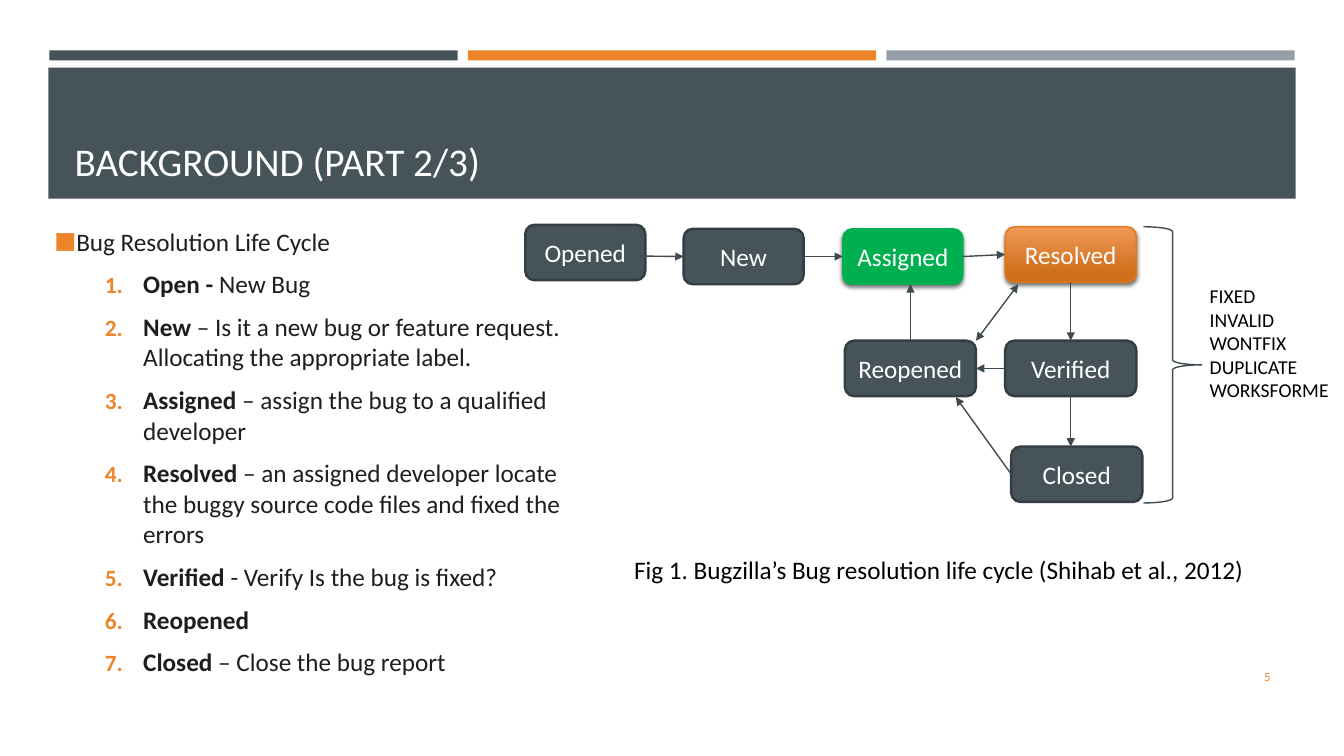
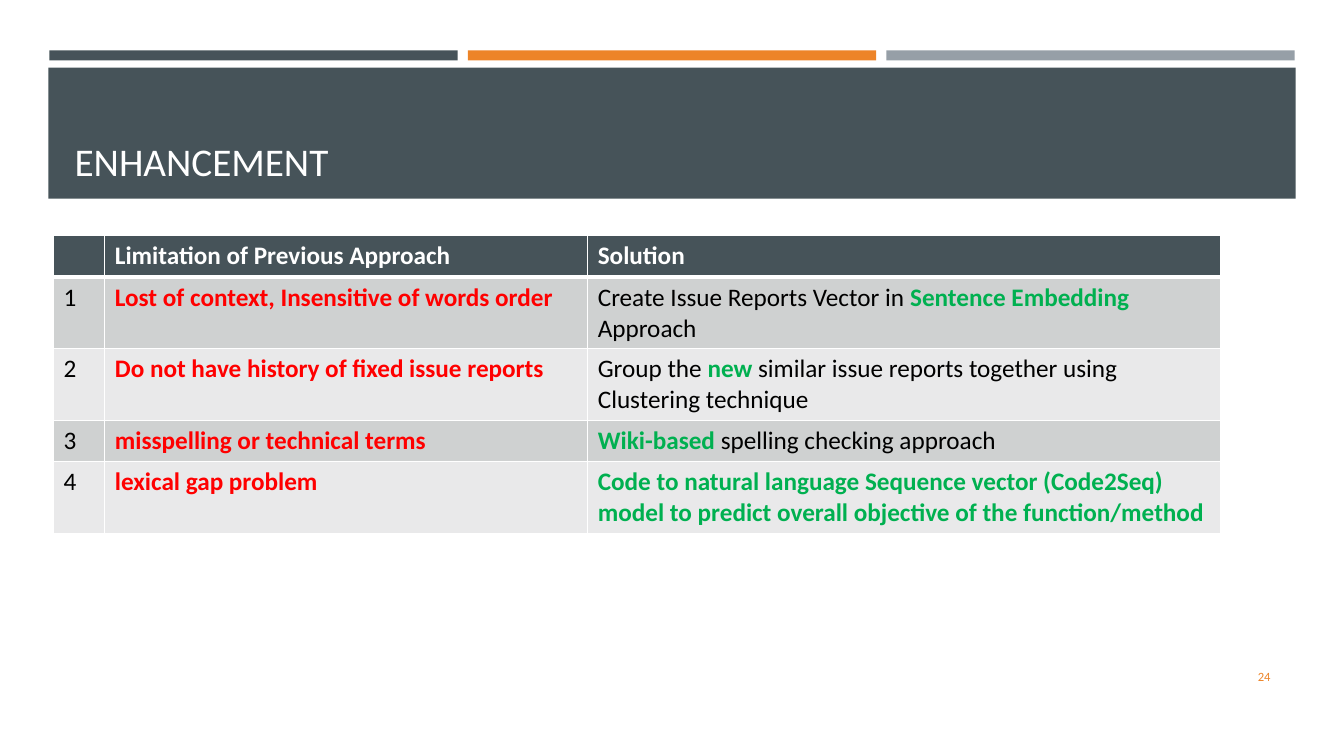
from dataclasses import dataclass

from lxml.etree import SubElement
from pptx import Presentation
from pptx.dml.color import RGBColor
from pptx.enum.shapes import MSO_CONNECTOR, MSO_SHAPE
from pptx.enum.text import MSO_ANCHOR, PP_ALIGN
from pptx.oxml.ns import qn
from pptx.util import Pt

PX = 9144  # EMU in one px, 100 px to the inch
TOP, LEFT, BOTTOM, RIGHT = range(4)


@dataclass(frozen=True)
class Theme:
    font: str = "Calibri"
    slate: str = "465359"
    edge: str = "343D42"
    wire: str = "3F4B50"
    orange: str = "ED8428"
    gray: str = "969FA7"
    green: str = "00B050"
    red: str = "FF0000"
    white: str = "FFFFFF"
    black: str = "000000"
    ink: str = "1E1E1E"
    glow: tuple = ("F09856", "CE6F1B")
    rust: str = "E67613"
    stripes: tuple = ("CFD1D1", "E9E9EA")
    head: int = 28
    text: int = 18
    label: int = 14
    small: int = 9


def rgb(code):
    return RGBColor.from_string(code)


def add(parent, tag, **attrs):
    """Append a drawing element with the given attributes."""
    child = SubElement(parent, qn(f"a:{tag}"))
    for name, value in attrs.items():
        child.set(name, str(value))
    return child


class Deck:
    def __init__(self, theme):
        self.theme = theme
        self.file = Presentation()
        self.file.slide_width, self.file.slide_height = 1333 * PX, 750 * PX
        self.slide = None

    def place(self, shape, left, top, width, height):
        shape.left, shape.top = left * PX, top * PX
        shape.width, shape.height = width * PX, height * PX

    def letter(self, par, parts, size, color, bold=False, align=PP_ALIGN.LEFT):
        """Fill a paragraph; a part given as (text, color) is bold."""
        par.alignment = align
        font = par.font
        font.name, font.size, font.bold = self.theme.font, Pt(size), bold
        font.color.rgb = rgb(color)
        for part in parts:
            run = par.add_run()
            if isinstance(part, str):
                run.text = part
                continue
            run.text, shade = part
            face = font if len(parts) == 1 else run.font
            face.bold = True
            face.color.rgb = rgb(shade)

    def start(self, title, number, layout=5):
        first = self.slide is None
        self.slide = self.file.slides.add_slide(self.file.slide_layouts[layout])
        if first:
            self.bands()
        head = self.slide.shapes.title
        self.place(head, 64, 77, 1206, 111)
        head.text_frame.vertical_anchor = MSO_ANCHOR.BOTTOM
        self.letter(head.text_frame.paragraphs[0], [title],
                    self.theme.head, self.theme.white)
        self.note([number], 1155, 651, 115, 40, self.theme.small,
                  self.theme.orange, PP_ALIGN.RIGHT, MSO_ANCHOR.MIDDLE)

    def bands(self):
        """Draw the bands once and move them to the slide master."""
        look = self.theme
        bars = [self.shape(MSO_SHAPE.RECTANGLE, 49 + 415 * i, 50, 405, 10, fill)
                for i, fill in enumerate((look.slate, look.orange, look.gray))]
        bars.append(self.shape(MSO_SHAPE.RECTANGLE, 48, 67, 1237, 130, look.slate))
        for bar in bars:
            self.file.slide_master.shapes.element.append(bar.element)

    def shape(self, kind, left, top, width, height, fill=None, line=None, weight=1):
        item = self.slide.shapes.add_shape(
            kind, left * PX, top * PX, width * PX, height * PX)
        if fill is None:
            item.fill.background()
        elif isinstance(fill, tuple):
            item.fill.gradient()
            item.fill.gradient_angle = 270
            stops = item.fill.gradient_stops
            for stop, place, code in zip(stops, (0, 0.84), fill):
                stop.position, stop.color.rgb = place, rgb(code)
        else:
            item.fill.solid()
            item.fill.fore_color.rgb = rgb(fill)
        if line:
            item.line.color.rgb = rgb(line)
            item.line.width = Pt(weight)
        else:
            item.line.fill.background()
        item.shadow.inherit = False
        return item

    def state(self, name, left, top, width, fill=None, line=None):
        """Draw a state box; one with its own fill casts a shadow."""
        look = self.theme
        box = self.shape(MSO_SHAPE.ROUNDED_RECTANGLE, left, top, width, 55,
                         fill or look.slate, line or look.edge, 1 if fill else 1.75)
        if fill:
            cast = add(box.element.spPr.find(qn("a:effectLst")), "outerShdw",
                       blurRad=Pt(3), dist=Pt(2), dir=5400000, rotWithShape=0)
            add(add(cast, "srgbClr", val=look.black), "alpha", val=55000)
        frame = box.text_frame
        frame.margin_left = frame.margin_right = 0
        frame.vertical_anchor = MSO_ANCHOR.MIDDLE
        self.letter(frame.paragraphs[0], [name], look.text, look.white,
                    align=PP_ALIGN.CENTER)
        return box

    def link(self, start, end, both=False):
        """Draw an arrow; each end is a point or a (box, side) pair."""
        spots = [spot if isinstance(spot[0], int) else (0, 0) for spot in (start, end)]
        wire = self.slide.shapes.add_connector(
            MSO_CONNECTOR.STRAIGHT, *(v * PX for spot in spots for v in spot))
        for spot, join in ((start, wire.begin_connect), (end, wire.end_connect)):
            if not isinstance(spot[0], int):
                join(*spot)
        wire.line.color.rgb = rgb(self.theme.wire)
        wire.line.width = Pt(1)
        props = wire.element.spPr
        line = props.find(qn("a:ln"))
        for tag in ("headEnd", "tailEnd") if both else ("tailEnd",):
            add(line, tag, type="triangle")
        add(props, "effectLst")

    def note(self, lines, left, top, width, height, size, color,
             align=PP_ALIGN.LEFT, anchor=MSO_ANCHOR.TOP, wrap=True):
        box = self.slide.shapes.add_textbox(
            left * PX, top * PX, width * PX, height * PX)
        frame = box.text_frame
        frame.word_wrap, frame.vertical_anchor = wrap, anchor
        for i, line in enumerate(lines):
            par = frame.add_paragraph() if i else frame.paragraphs[0]
            self.letter(par, [line], size, color, align=align)

    def steps(self, head, items, left, top, width, height):
        """Fill the body with a bulleted head and numbered items."""
        look = self.theme
        body = self.slide.placeholders[1]
        self.place(body, left, top, width, height)
        frame = body.text_frame
        frame.vertical_anchor = MSO_ANCHOR.TOP
        for i, parts in enumerate([[head], *items]):
            par = frame.add_paragraph() if i else frame.paragraphs[0]
            par.level = 1 if i else 0
            par.space_before, par.space_after = Pt(3 if i else 0), Pt(6)
            props = par._p.get_or_add_pPr()
            margin, hang = (88, 38) if i else (20, 20)
            props.set("marL", str(margin * PX))
            props.set("indent", str(-hang * PX))
            add(add(props, "buClr"), "srgbClr", val=look.orange)
            add(props, "buSzPct", val=92000)
            add(props, "buFont", typeface=look.font)
            if i:
                add(props, "buAutoNum", type="arabicPeriod")
            else:
                add(props, "buChar", char="■")
            self.letter(par, parts, look.text, look.ink)

    def table(self, rows, left, top, widths, heights):
        look = self.theme
        grid = self.slide.shapes.add_table(
            len(rows), len(widths), left * PX, top * PX,
            sum(widths) * PX, sum(heights) * PX).table
        grid.horz_banding = False
        for col, width in zip(grid.columns, widths):
            col.width = width * PX
        for r, (row, height) in enumerate(zip(rows, heights)):
            grid.rows[r].height = height * PX
            for c, parts in enumerate(row):
                cell = grid.cell(r, c)
                self.frame(cell, top=3 if r == 1 else 1, bottom=1 if r else 3)
                cell.fill.solid()
                cell.fill.fore_color.rgb = rgb(
                    look.stripes[(r - 1) % 2] if r else look.slate)
                self.letter(cell.text_frame.paragraphs[0], parts, look.text,
                            look.black if r else look.white, bold=not r)

    def frame(self, cell, top, bottom):
        """Give a cell white borders, with the top and bottom weights in points."""
        props = cell._tc.get_or_add_tcPr()
        for tag, weight in (("lnL", 1), ("lnR", 1), ("lnT", top), ("lnB", bottom)):
            line = add(props, tag, w=Pt(weight))
            add(add(line, "solidFill"), "srgbClr", val=self.theme.white)


def cycle(deck):
    look = deck.theme
    deck.start("BACKGROUND (PART 2/3)", "5", layout=1)
    opened = deck.state("Opened", 521, 223, 119)
    new = deck.state("New", 678, 227, 119)
    given = deck.state("Assigned", 836, 227, 119, look.green, look.green)
    again = deck.state("Reopened", 838, 338, 130)
    solved = deck.state("Resolved", 997, 225, 130, look.glow, look.rust)
    proved = deck.state("Verified", 997, 338, 130)
    closed = deck.state("Closed", 1003, 443, 130)

    deck.link((631, 254), (new, LEFT))
    deck.link((new, RIGHT), (given, LEFT))
    deck.link((given, RIGHT), (solved, LEFT))
    deck.link((solved, BOTTOM), (proved, TOP))
    deck.link((968, 338), (1010, 282), both=True)
    deck.link((proved, LEFT), (again, RIGHT))
    deck.link((proved, BOTTOM), (1062, 443))
    deck.link((closed, LEFT), (948, 394))
    deck.link((again, TOP), (903, 282))

    deck.shape(MSO_SHAPE.RIGHT_BRACE, 1134, 225, 58, 274, line=look.wire)
    deck.note(["FIXED", "INVALID", "WONTFIX", "DUPLICATE", "WORKSFORME"],
              1190, 277, 143, 148, look.label, look.black)
    items = [
        ("Open -", " New Bug"),
        ("New", " – Is it a new bug or feature request. "
                "Allocating the appropriate label."),
        ("Assigned", " – assign the bug to a qualified developer"),
        ("Resolved", " – an assigned developer locate the buggy source code "
                     "files and fixed the errors"),
        ("Verified", " - Verify Is the bug is fixed?"),
        ("Reopened",),
        ("Closed", " – Close the bug report"),
    ]
    deck.steps("Bug Resolution Life Cycle",
               [[(name, look.ink), *rest] for name, *rest in items],
               44, 219, 540, 472)
    deck.note(["Fig 1. Bugzilla’s Bug resolution life cycle (Shihab et al., 2012)"],
              619, 545, 644, 40, look.text, look.black, wrap=False)


def gains(deck):
    red, green = deck.theme.red, deck.theme.green
    deck.start("ENHANCEMENT", "24")
    pairs = [
        ("Lost of context, Insensitive of words order",
         ["Create Issue Reports Vector in ", ("Sentence Embedding ", green),
          "Approach"]),
        ("Do not have history of fixed issue reports",
         ["Group the ", ("new", green),
          " similar issue reports together using Clustering technique"]),
        ("misspelling or technical terms",
         [("Wiki-based", green), " spelling checking approach"]),
        ("lexical gap problem",
         [("Code to natural language Sequence vector (Code2Seq) model to predict "
           "overall objective of the function/method", green)]),
    ]
    rows = [([], ["Limitation of Previous Approach"], ["Solution"])]
    rows += [([str(i)], [(limit, red)], answer)
             for i, (limit, answer) in enumerate(pairs, 1)]
    deck.table(rows, 53, 234, (51, 479, 628), (41, 71, 71, 41, 71))


def main():
    deck = Deck(Theme())
    cycle(deck)
    gains(deck)
    deck.file.save("out.pptx")


if __name__ == "__main__":
    main()
